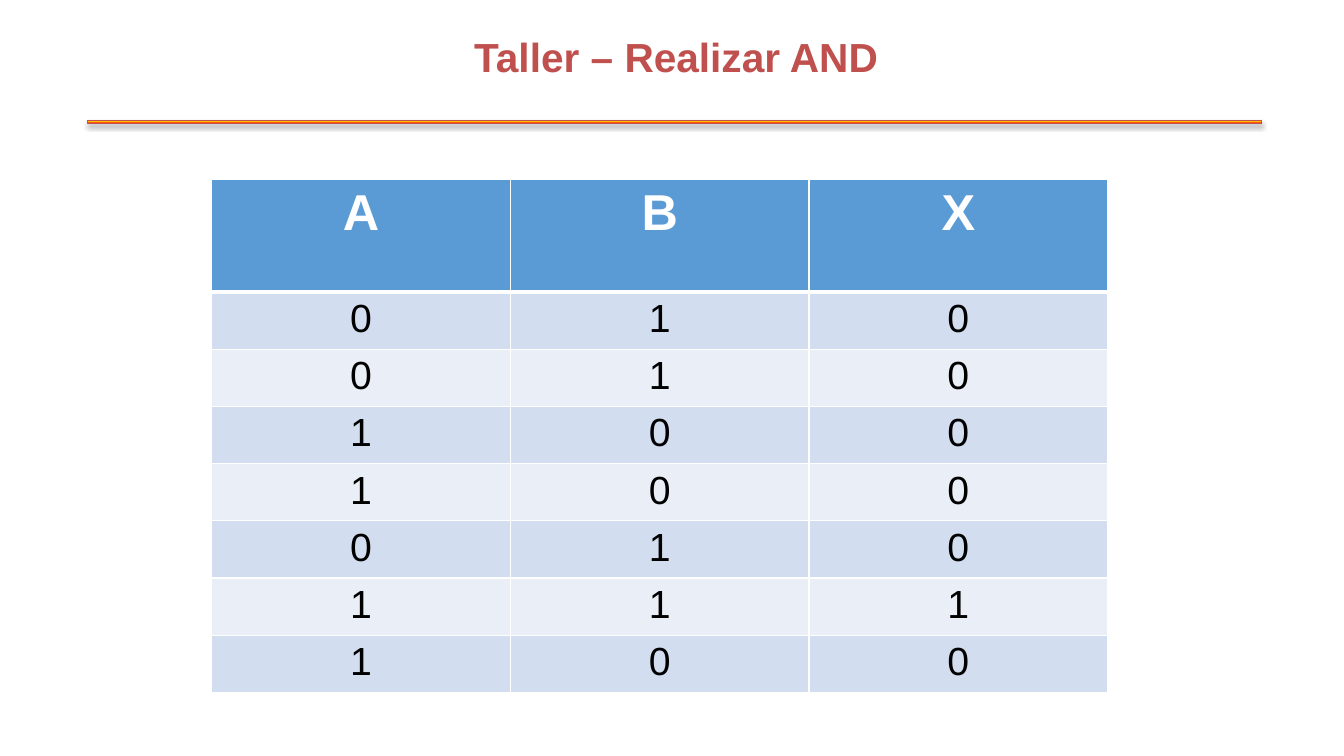
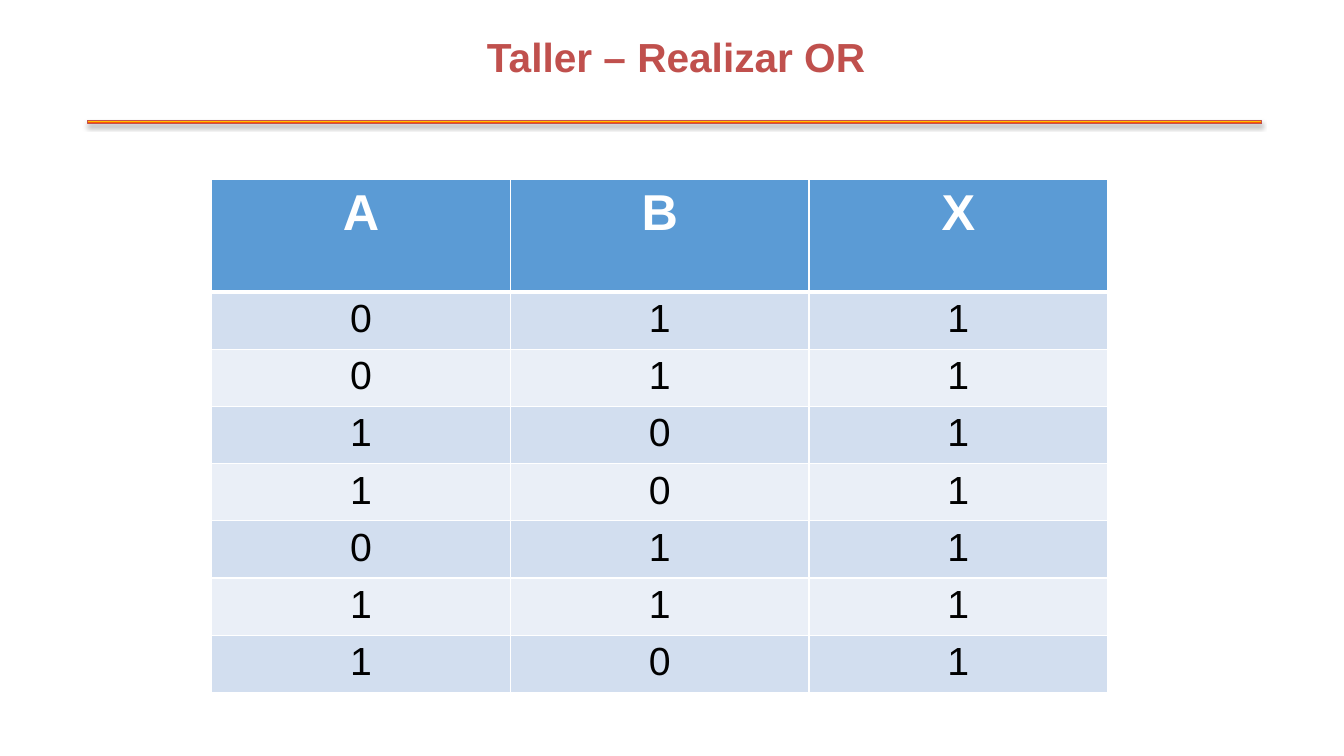
import pptx
import pptx.util
import pptx.dml.color
import pptx.enum.shapes
import pptx.enum.text
import pptx.oxml
import pptx.oxml.ns

RGB = pptx.dml.color.RGBColor
RED = RGB(0xC0, 0x50, 0x4D)
WHITE = RGB(0xFF, 0xFF, 0xFF)
BLACK = RGB(0, 0, 0)
BLUE = RGB(0x5B, 0x9B, 0xD5)
BANDS = (RGB(0xD2, 0xDE, 0xEF), RGB(0xEA, 0xEF, 0xF7))
RULE_STOPS = ((0, RGB(0xFF, 0xF2, 0x00)), (45, RGB(0xFF, 0x7A, 0x00)),
              (70, RGB(0xFF, 0x03, 0x00)), (100, RGB(0x4D, 0x08, 0x08)))

WIDTH, HEIGHT = pptx.util.Inches(13.333), pptx.util.Inches(7.5)

# Boxes: left, top, width, height in percent of the slide
TITLE_BOX = (7.2, 1.6, 86.25, 11.73)
RULE_BOX = (6.53, 16, 87.37, 0.4)
TABLE_BOX = (15.75, 23.73, 66.67, 67.73)
HEADER_SHARE = 0.22

TITLE_FONT = {"name": "Arial", "size": pptx.util.Pt(29), "bold": True}
HEADER_FONT = {"name": "Arial", "size": pptx.util.Pt(36), "bold": True}
BODY_FONT = {"name": "Arial", "size": pptx.util.Pt(28), "bold": False}

HEADINGS = ("A", "B", "X")
INPUTS = ((0, 1), (0, 1), (1, 0), (1, 0), (0, 1), (1, 1), (1, 0))
GATES = {"AND": min, "OR": max}


def place(box):
    """Turn percent of the slide into lengths."""
    return [int(share * side / 100)
            for share, side in zip(box, (WIDTH, HEIGHT, WIDTH, HEIGHT))]


def xml(text):
    return pptx.oxml.parse_xml(
        text.replace(" ", f" {pptx.oxml.ns.nsdecls('a')} ", 1))


def write(frame, text, font, colour):
    paragraph = frame.paragraphs[0]
    paragraph.alignment = pptx.enum.text.PP_ALIGN.CENTER
    run = paragraph.add_run()
    run.text = text
    for attribute, value in font.items():
        setattr(run.font, attribute, value)
    run.font.color.rgb = colour


def add_title(slide, box, text):
    frame = slide.shapes.add_textbox(*place(box)).text_frame
    frame.word_wrap = True
    frame.vertical_anchor = pptx.enum.text.MSO_ANCHOR.MIDDLE
    write(frame, text, TITLE_FONT, RED)


def add_rule(slide, box):
    rule = slide.shapes.add_shape(
        pptx.enum.shapes.MSO_SHAPE.RECTANGLE, *place(box))
    rule.line.color.rgb = RED
    rule.line.width = pptx.util.Pt(0.75)
    # Four-stop gradient, top to bottom
    rule.fill.gradient()
    rule.fill.gradient_angle = 270
    stops = rule._element.spPr.find(".//" + pptx.oxml.ns.qn("a:gsLst"))
    for stop in list(stops):
        stops.remove(stop)
    for percent, colour in RULE_STOPS:
        stops.append(xml(f'<a:gs pos="{percent * 1000}">'
                         f'<a:srgbClr val="{colour}"/></a:gs>'))
    # Soft shadow below
    rule.shadow.inherit = False
    effects = rule._element.spPr.find(pptx.oxml.ns.qn("a:effectLst"))
    effects.append(xml(
        f'<a:outerShdw blurRad="{pptx.util.Pt(3.1)}" '
        f'dist="{pptx.util.Pt(1.8)}" dir="5400000" rotWithShape="0">'
        f'<a:srgbClr val="{BLACK}"><a:alpha val="35000"/></a:srgbClr>'
        '</a:outerShdw>'))


def set_borders(cell, top, bottom):
    sides = {"lnL": 1, "lnR": 1, "lnT": top, "lnB": bottom}
    properties = cell._tc.get_or_add_tcPr()
    for index, (side, points) in enumerate(sides.items()):
        properties.insert(index, xml(
            f'<a:{side} w="{pptx.util.Pt(points)}"><a:solidFill>'
            f'<a:srgbClr val="{WHITE}"/></a:solidFill></a:{side}>'))


def add_truth_table(slide, box, gate):
    rows = [HEADINGS] + [(a, b, gate(a, b)) for a, b in INPUTS]
    left, top, width, height = place(box)
    table = slide.shapes.add_table(
        len(rows), len(HEADINGS), left, top, width, height).table
    header_height = int(height * HEADER_SHARE)
    for column in table.columns:
        column.width = width // len(HEADINGS)
    for r, values in enumerate(rows):
        is_header = r == 0
        table.rows[r].height = (header_height if is_header else
                                (height - header_height) // len(INPUTS))
        for c, value in enumerate(values):
            cell = table.cell(r, c)
            cell.fill.solid()
            cell.fill.fore_color.rgb = BLUE if is_header else BANDS[(r - 1) % 2]
            # Thick line between header and body
            set_borders(cell, 3 if r == 1 else 1, 3 if is_header else 1)
            write(cell.text_frame, str(value),
                  HEADER_FONT if is_header else BODY_FONT,
                  WHITE if is_header else BLACK)


def add_gate_slide(deck, name, gate):
    slide = deck.slides.add_slide(deck.slide_layouts[6])
    add_title(slide, TITLE_BOX, f"Taller – Realizar {name}")
    add_rule(slide, RULE_BOX)
    add_truth_table(slide, TABLE_BOX, gate)


def main():
    deck = pptx.Presentation()
    deck.slide_width, deck.slide_height = WIDTH, HEIGHT
    for name, gate in GATES.items():
        add_gate_slide(deck, name, gate)
    deck.save("out.pptx")


if __name__ == "__main__":
    main()
